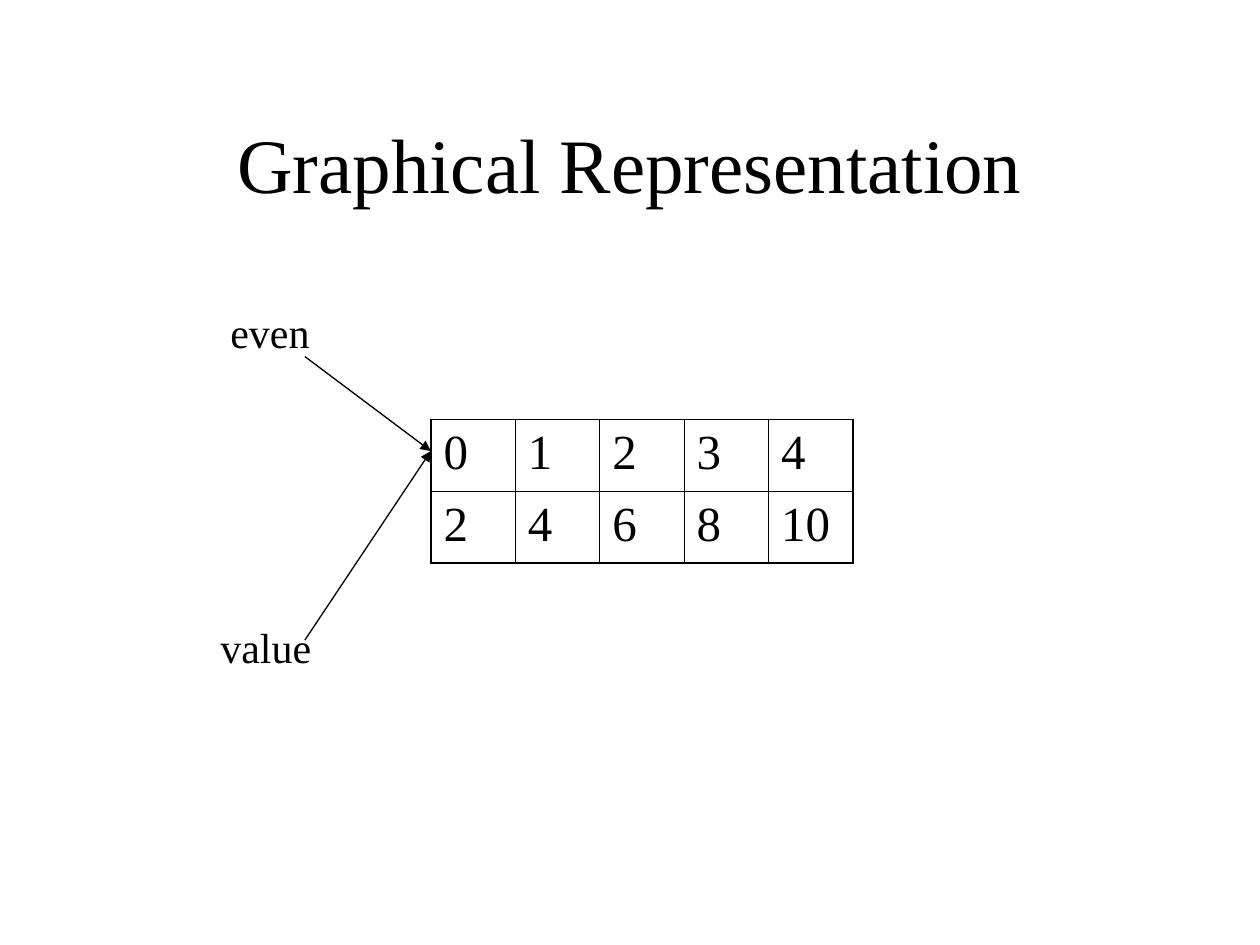
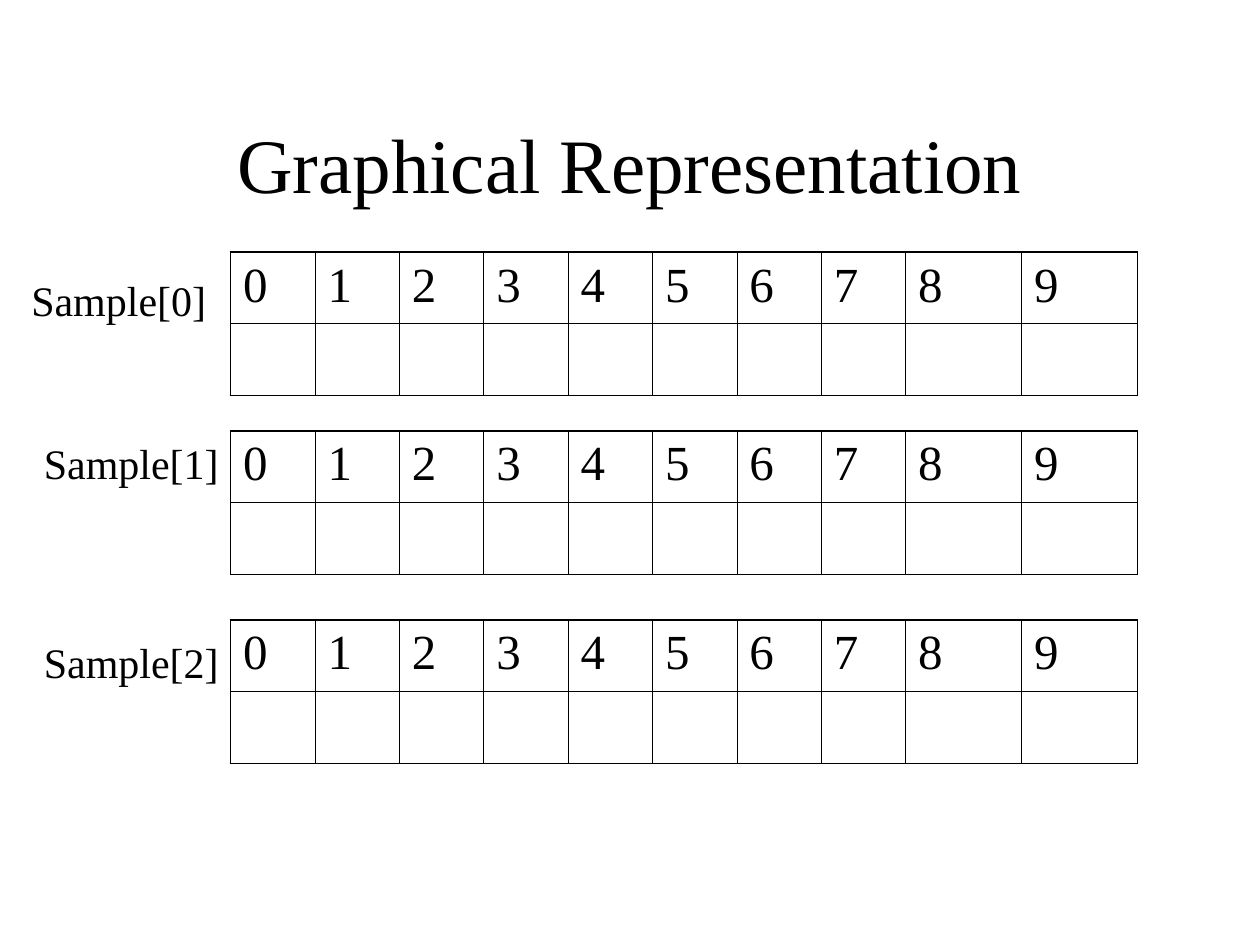
from lxml import etree
from pptx import Presentation
from pptx.dml.color import RGBColor
from pptx.enum.shapes import MSO_CONNECTOR
from pptx.enum.text import MSO_ANCHOR, MSO_AUTO_SIZE, PP_ALIGN
from pptx.oxml.ns import qn
from pptx.util import Inches, Pt

STRAIGHT = MSO_CONNECTOR.STRAIGHT
MIDDLE = MSO_ANCHOR.MIDDLE
GROW = MSO_AUTO_SIZE.SHAPE_TO_FIT_TEXT
CENTER = PP_ALIGN.CENTER
TITLE_ONLY = 5


def color(code):
    return RGBColor.from_string(code)


class Deck:
    font = "Times New Roman"
    ink = "000000"
    paper = "FFFFFF"
    thin, thick = 0.45, 1.08
    row = 0.57

    def __init__(self):
        self.prs = Presentation()
        self.prs.slide_width = Inches(10)
        self.prs.slide_height = Inches(7.5)

    def page(self, title):
        self.slide = self.prs.slides.add_slide(
            self.prs.slide_layouts[TITLE_ONLY])
        fill = self.slide.background.fill
        fill.solid()
        fill.fore_color.rgb = color(self.paper)
        head = self.slide.shapes.title
        head.left, head.top = Inches(0.75), Inches(0.67)
        head.width, head.height = Inches(8.5), Inches(1.25)
        head.text_frame.vertical_anchor = MIDDLE
        self.put(head.text_frame, title, 44)
        head.text_frame.paragraphs[0].alignment = CENTER

    def put(self, frame, text, size):
        frame.text = text
        for run in frame.paragraphs[0].runs:
            run.font.name = self.font
            run.font.size = Pt(size)
            run.font.color.rgb = color(self.ink)

    def label(self, text, left, top, width):
        box = self.slide.shapes.add_textbox(
            Inches(left), Inches(top), Inches(width), Inches(0.5))
        box.text_frame.word_wrap = False
        box.text_frame.auto_size = GROW
        self.put(box.text_frame, text, 24)

    def arrow(self, start, end):
        line = self.slide.shapes.add_connector(
            STRAIGHT, *[Inches(v) for v in start + end])
        line.line.color.rgb = color(self.ink)
        line.line.width = Pt(0.74)
        props = line._element.spPr
        pen = props.find(qn("a:ln"))
        etree.SubElement(pen, qn("a:tailEnd"), type="triangle")
        etree.SubElement(props, qn("a:effectLst"))

    def border(self, cell, widths):
        # Border lines come before the fill, in the order left, right, top, bottom
        props = cell._tc.get_or_add_tcPr()
        for spot, (side, width) in enumerate(zip("LRTB", widths)):
            line = etree.Element(qn("a:ln" + side), w=str(int(Pt(width))))
            fill = etree.SubElement(line, qn("a:solidFill"))
            etree.SubElement(fill, qn("a:srgbClr"), val=self.ink)
            props.insert(spot, line)

    def grid(self, left, top, cols, rows):
        count = len(rows)
        table = self.slide.shapes.add_table(
            count, len(cols), Inches(left), Inches(top),
            Inches(sum(cols)), Inches(self.row * count)).table
        table.first_row = table.horz_banding = False
        for col, width in zip(table.columns, cols):
            col.width = Inches(width)
        for r, values in enumerate(rows):
            table.rows[r].height = Inches(self.row)
            for c, value in enumerate(values):
                cell = table.cell(r, c)
                cell.fill.background()
                outer = (c == 0, c == len(cols) - 1, r == 0, r == count - 1)
                self.border(cell, [self.thick if edge else self.thin
                                   for edge in outer])
                if value != "":
                    self.put(cell.text_frame, str(value), 28)
                    cell.text_frame.paragraphs[0].space_before = Pt(7)


deck = Deck()
TITLE = "Graphical Representation"
CELL = 0.67

# One array with two names pointing at it
deck.page(TITLE)
deck.grid(3.42, 3.33, [CELL] * 5, [range(5), range(2, 11, 2)])
deck.label("even", 1.73, 2.38, 0.83)
deck.label("value", 1.65, 4.88, 0.92)
for start in (2.83, 5.08):
    deck.arrow((2.42, start), (3.42, 3.58))

# Three rows of a two-dimensional array
deck.page(TITLE)
WIDTHS = [CELL] * 8 + [0.92] * 2
PLACES = [(2, 0.15, 2.13), (3.42, 0.25, 3.42), (4.92, 0.25, 5)]
for index, (top, left, mark) in enumerate(PLACES):
    deck.grid(1.83, top, WIDTHS, [range(10), [""] * 10])
    deck.label(f"Sample[{index}]", left, mark, 1.59)

deck.prs.save("out.pptx")
